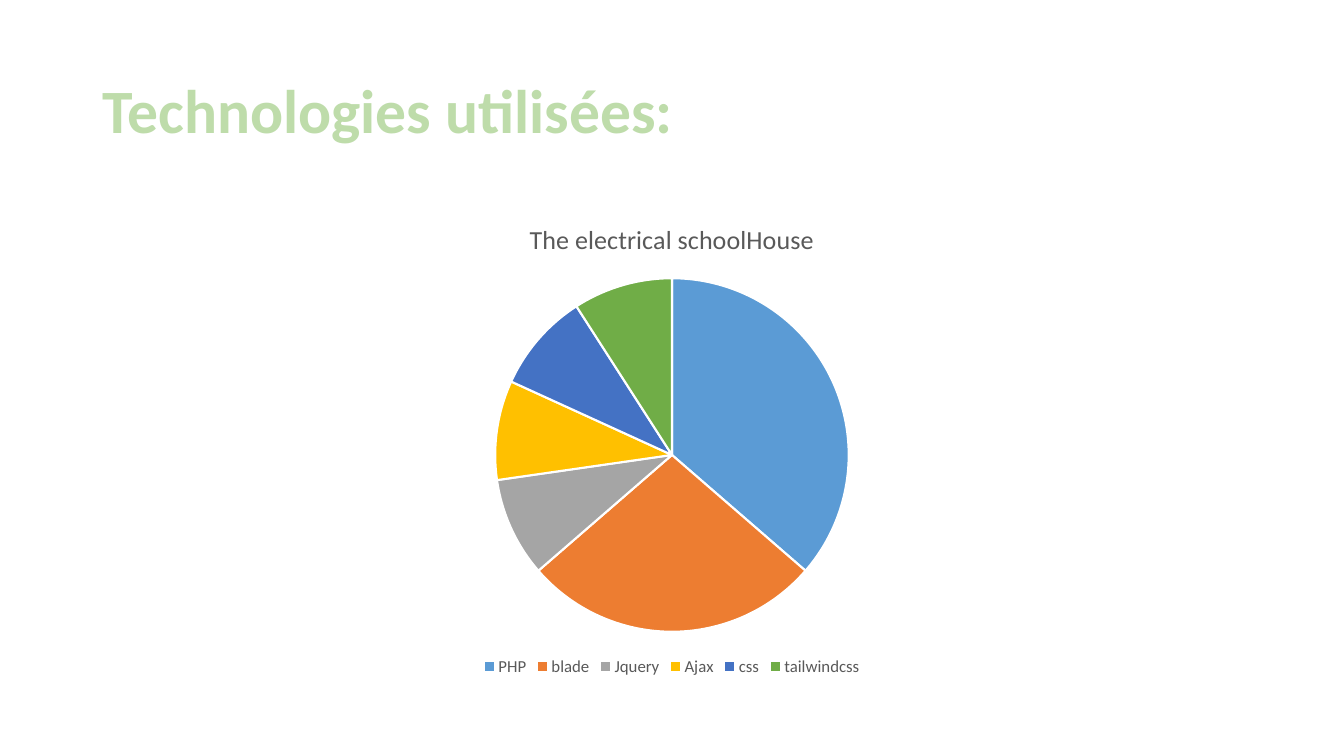
from dataclasses import dataclass

from pptx import Presentation
from pptx.chart.data import CategoryChartData
from pptx.dml.color import RGBColor
from pptx.enum.chart import XL_CHART_TYPE, XL_LEGEND_POSITION
from pptx.enum.text import MSO_ANCHOR, MSO_AUTO_SIZE, PP_ALIGN
from pptx.util import Cm, Pt

PIE = XL_CHART_TYPE.PIE
BOTTOM = XL_LEGEND_POSITION.BOTTOM
MIDDLE = MSO_ANCHOR.MIDDLE
NO_AUTOFIT = MSO_AUTO_SIZE.NONE
LEFT = PP_ALIGN.LEFT
TITLE_ONLY = 5


@dataclass(frozen=True)
class Theme:
    font: str = "Calibri"
    heading: str = "BEDCAA"
    muted: str = "595959"
    white: str = "FFFFFF"
    slices: tuple = ("5B9BD5", "ED7D31", "A5A5A5", "FFC000", "4472C4", "70AD47")
    heading_size: float = 44
    chart_title_size: float = 18.6
    legend_size: float = 12
    slice_border: float = 1.5


def format_font(font, name, size, color, bold=False):
    font.name = name
    font.size = Pt(size)
    font.bold = bold
    font.color.rgb = RGBColor.from_string(color)


def write_text(tf, text, align=None, line_spacing=None, **font_format):
    p = tf.paragraphs[0]
    p.alignment = align
    p.line_spacing = line_spacing
    r = p.add_run()
    r.text = text
    format_font(r.font, **font_format)


class SlideBuilder:
    def __init__(self, prs, theme):
        self.theme = theme
        self.s = prs.slides.add_slide(prs.slide_layouts[TITLE_ONLY])

    def title(self, text, left, top, width, height):
        sp = self.s.shapes.title
        sp.left, sp.top, sp.width, sp.height = left, top, width, height
        tf = sp.text_frame
        tf.word_wrap = True
        tf.auto_size = NO_AUTOFIT
        tf.vertical_anchor = MIDDLE
        write_text(tf, text, align=LEFT, line_spacing=0.9, name=self.theme.font,
                   size=self.theme.heading_size, color=self.theme.heading, bold=True)

    def pie(self, name, shares, left, top, width, height):
        theme = self.theme
        data = CategoryChartData()
        data.categories = list(shares)
        data.add_series(name, list(shares.values()))
        chart = self.s.shapes.add_chart(PIE, left, top, width, height, data).chart
        chart.font.name = theme.font
        chart.has_title = True
        write_text(chart.chart_title.text_frame, name, name=theme.font,
                   size=theme.chart_title_size, color=theme.muted)
        chart.chart_title.include_in_layout = False
        chart.has_legend = True
        chart.legend.position = BOTTOM
        chart.legend.include_in_layout = False
        format_font(chart.legend.font, theme.font, theme.legend_size, theme.muted)
        plot = chart.plots[0]
        plot.vary_by_categories = True
        for i, color in enumerate(theme.slices):
            piece = plot.series[0].points[i].format
            piece.fill.solid()
            piece.fill.fore_color.rgb = RGBColor.from_string(color)
            piece.line.color.rgb = RGBColor.from_string(theme.white)
            piece.line.width = Pt(theme.slice_border)


def main():
    prs = Presentation()
    prs.slide_width, prs.slide_height = Cm(33.87), Cm(19.05)
    left, width = Cm(2.33), Cm(29.21)
    technology_shares = {"PHP": 36, "blade": 27, "Jquery": 9,
                         "Ajax": 9, "css": 9, "tailwindcss": 9}

    slide = SlideBuilder(prs, Theme())
    slide.title("Technologies utilisées:", left, Cm(1.01), width, Cm(3.68))
    slide.pie("The electrical schoolHouse", technology_shares,
              left, Cm(5.07), width, Cm(12.09))
    prs.save("out.pptx")


if __name__ == "__main__":
    main()
